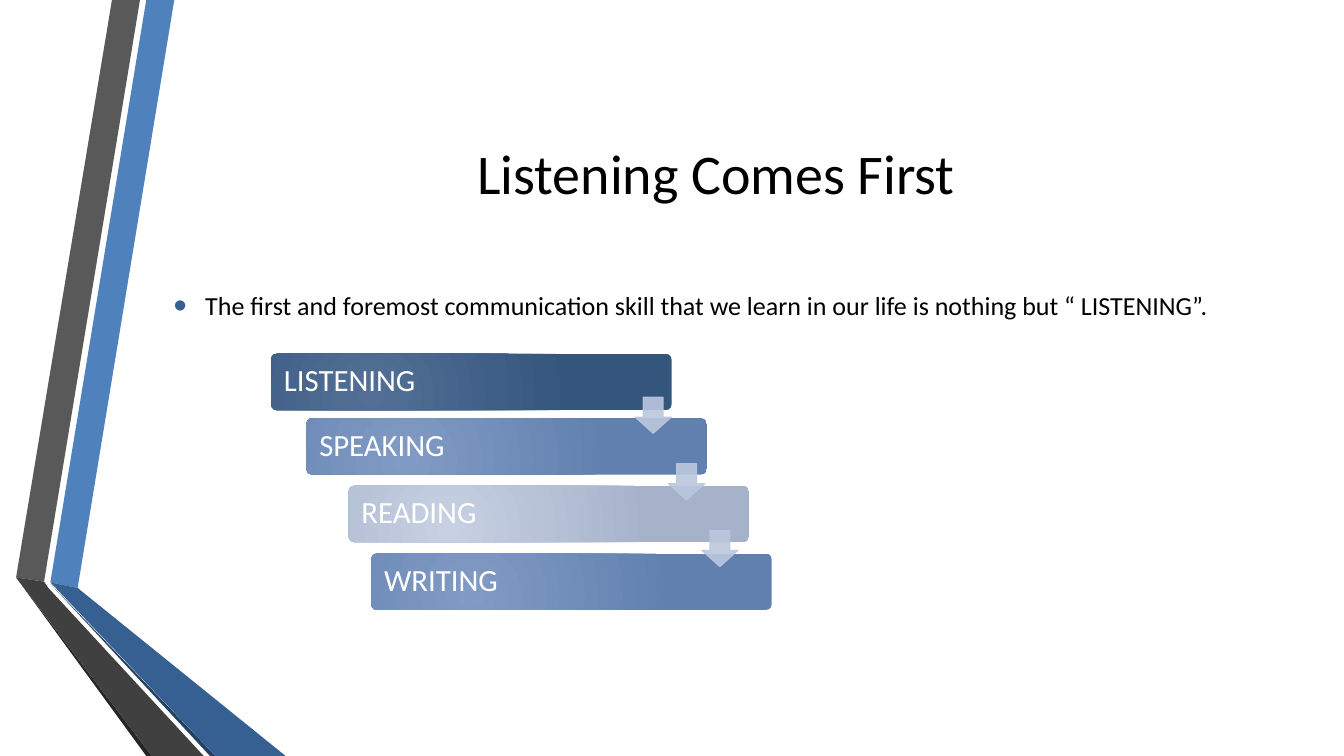
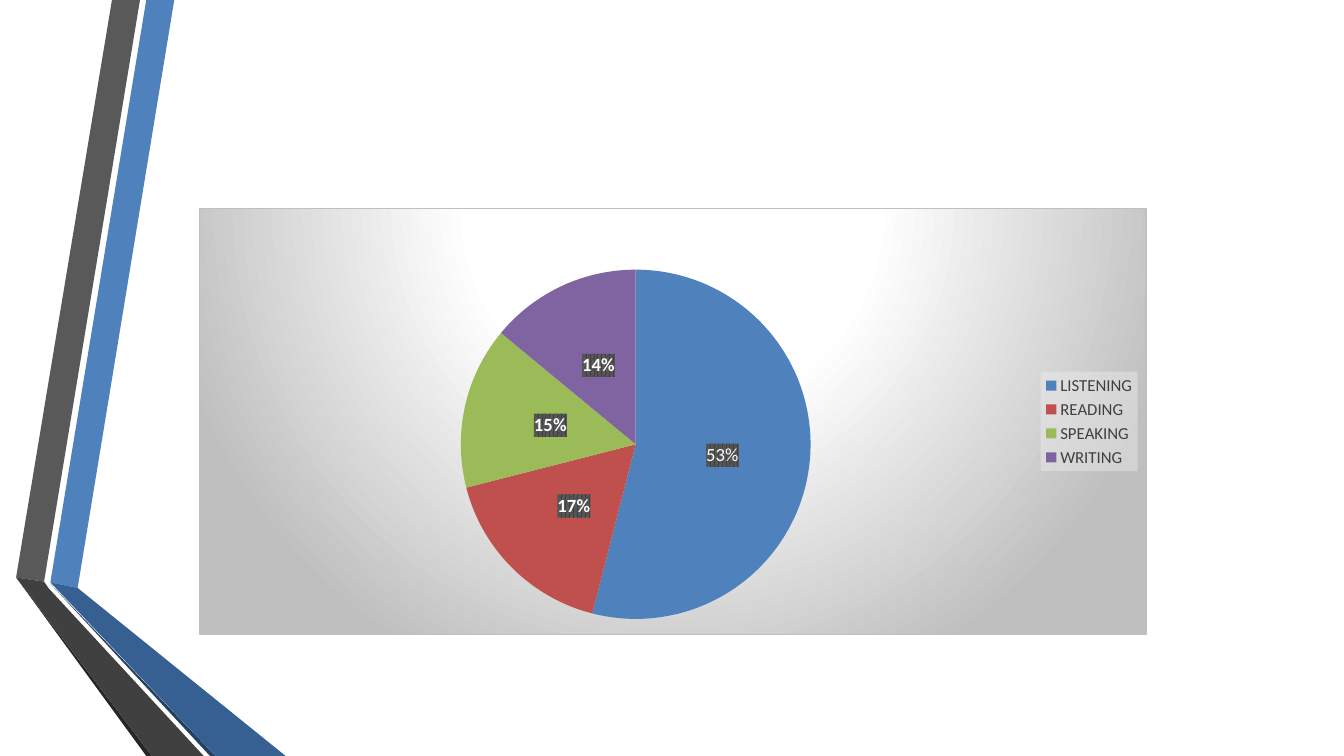
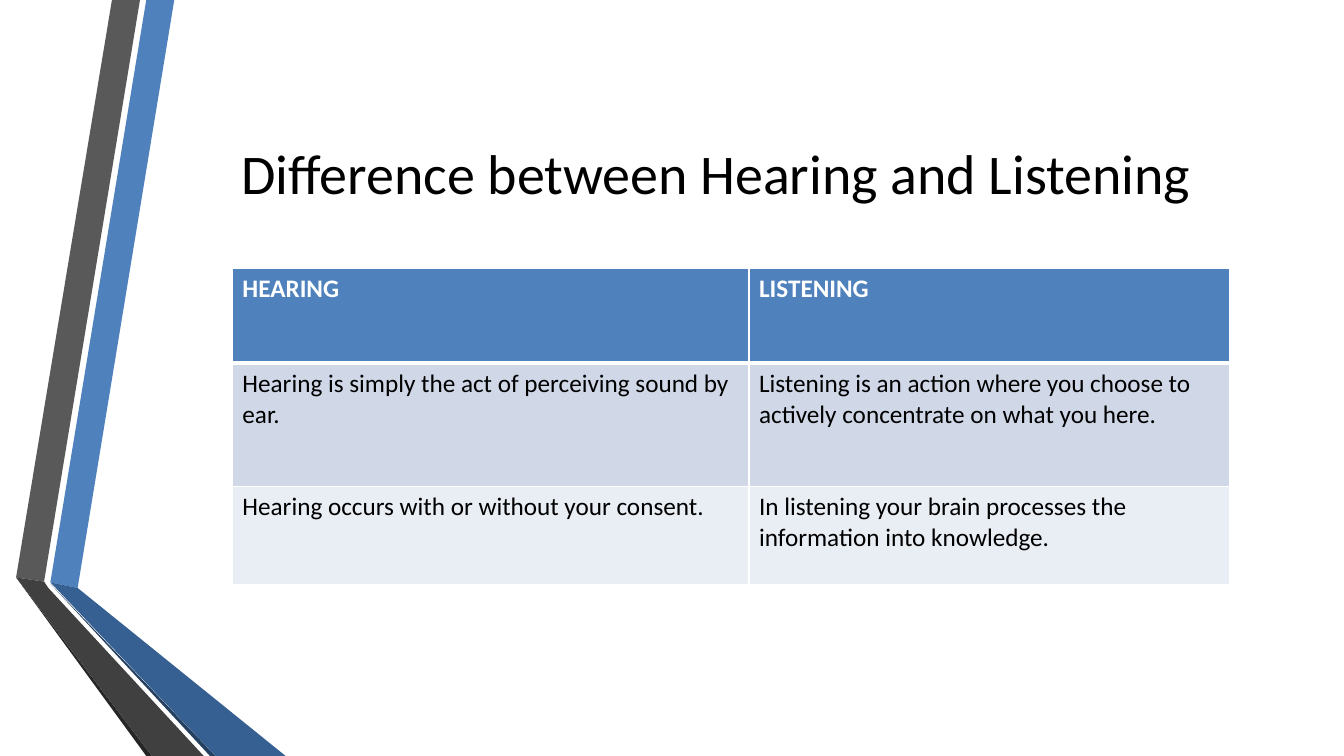
import pptx
import pptx.chart.data
import pptx.dml.color
import pptx.enum.chart
import pptx.enum.shapes
import pptx.enum.text
import pptx.oxml
import pptx.oxml.ns
import pptx.util
from dataclasses import dataclass

Pt = pptx.util.Pt
RGB = pptx.dml.color.RGBColor.from_string
qn = pptx.oxml.ns.qn
SHAPE = pptx.enum.shapes.MSO_SHAPE
ALIGN = pptx.enum.text.PP_ALIGN
MIDDLE = pptx.enum.text.MSO_ANCHOR.MIDDLE


@dataclass(frozen=True)
class Theme:
    font: str = "Calibri"
    black: str = "000000"
    white: str = "FFFFFF"
    blue: str = "4F81BD"
    navy: str = "376092"
    deep: str = "254061"
    gray: str = "595959"
    dark: str = "404040"
    coal: str = "262626"
    silver: str = "BFBFBF"
    pale: str = "F2F2F2"
    arrow: str = "BBC7DE"
    slices: tuple = ("4F81BD", "C0504D", "9BBB59", "8064A2")
    rows: tuple = ("4F81BD", "D0D8E8", "E9EDF4")
    title: float = 40
    card: float = 22
    body: float = 18.6
    cell: float = 18
    label: float = 13.3
    key: float = 12


T = Theme()

RADIAL = (
    '<a:gradFill rotWithShape="1"><a:gsLst>'
    '<a:gs pos="{start}"><a:srgbClr val="{inner}"/></a:gs>'
    '<a:gs pos="100000"><a:srgbClr val="{outer}"/></a:gs></a:gsLst>'
    '<a:path path="circle"><a:fillToRect {rect}/></a:path></a:gradFill>'
)


def node(text):
    """Turn a DrawingML or chart snippet into an element."""
    spaces = pptx.oxml.ns.nsdecls("a", "c")
    return pptx.oxml.parse_xml(f"<root {spaces}>{text}</root>")[0]


def write(par, text, size, color, bold=False):
    run = par.add_run()
    run.text = text
    run.font.name = T.font
    run.font.size = Pt(size)
    run.font.bold = bold
    run.font.color.rgb = RGB(color)


deck = pptx.Presentation()
deck.slide_width, deck.slide_height = Pt(960), Pt(540)

# Shared frame: folded bands on the left and a centred title
BANDS = [
    (T.blue, [(36, 416), (55.5, 420), (124.5, 0), (104.5, 0)]),
    (T.gray, [(100, 0), (80, 0), (11.5, 412.5), (31.5, 415.5)]),
    (T.coal, [(11.5, 412.5), (104.5, 540), (108.5, 540)]),
    (T.deep, [(36, 417), (150, 540), (154, 540)]),
    (T.navy, [(36, 416), (154, 540), (204, 540), (55.5, 420)]),
    (T.dark, [(145.5, 540), (34.5, 420), (31.5, 415.5), (11.5, 412.5),
              (108.5, 540)]),
]
TITLES = ["Listening Comes First", None,
          "Difference between Hearing and Listening"]

slides = []
for title in TITLES:
    slide = deck.slides.add_slide(deck.slide_layouts[6])
    slides.append(slide)
    for color, points in BANDS:
        spots = [(Pt(x), Pt(y)) for x, y in points]
        pen = slide.shapes.build_freeform(*spots[0])
        pen.add_line_segments(spots[1:], close=True)
        band = pen.convert_to_shape()
        band.shadow.inherit = False
        band.fill.solid()
        band.fill.fore_color.rgb = RGB(color)
        band.line.fill.background()
    if title:
        box = slide.shapes.add_textbox(Pt(117), Pt(54), Pt(789), Pt(138))
        frame = box.text_frame
        frame.word_wrap = True
        frame.vertical_anchor = MIDDLE
        frame.paragraphs[0].alignment = ALIGN.CENTER
        write(frame.paragraphs[0], title, T.title, T.black)

first, second, third = slides

# Slide 1: bullet and staircase of skills
box = first.shapes.add_textbox(Pt(117), Pt(200), Pt(789), Pt(36))
frame = box.text_frame
frame.word_wrap = True
frame.vertical_anchor = MIDDLE
par = frame.paragraphs[0]
write(par, "The first and foremost communication skill that we learn in our "
      "life is nothing but “ LISTENING”.", T.body, T.black)
props = par._p.get_or_add_pPr()
props.set("marL", str(Pt(22.5)))
props.set("indent", str(Pt(-22.5)))
for text in (f'<a:buClr><a:srgbClr val="{T.navy}"/></a:buClr>',
             '<a:buSzPct val="145000"/>',
             '<a:buFont typeface="Arial"/>',
             '<a:buChar char="•"/>'):
    props.append(node(text))

CARDS = [
    ("LISTENING", 193.7, 252.7, "536F96", "34557C"),
    ("SPEAKING", 218.9, 298.7, "819BC4", "6180AF"),
    ("READING", 249, 347, "C7D1E3", "A5B2CA"),
    ("WRITING", 265.2, 395.4, "819BC4", "6180AF"),
]
for text, left, top, inner, outer in CARDS:
    card = first.shapes.add_shape(SHAPE.ROUNDED_RECTANGLE, Pt(left), Pt(top),
                                  Pt(286), Pt(40.3))
    card.adjustments[0] = 0.1
    card.shadow.inherit = False
    fill = RADIAL.format(start=0, inner=inner, outer=outer,
                         rect='l="50000" t="100000" r="100000" b="50000"')
    card.element.spPr.find(qn("a:prstGeom")).addnext(node(fill))
    card.line.fill.background()
    frame = card.text_frame
    frame.margin_left = Pt(8)
    frame.vertical_anchor = MIDDLE
    frame.paragraphs[0].alignment = ALIGN.LEFT
    frame.paragraphs[0].line_spacing = 0.9
    write(frame.paragraphs[0], text, T.card, T.white)

for step in range(len(CARDS) - 1):
    arrow = first.shapes.add_shape(
        SHAPE.DOWN_ARROW, Pt(453.6 + 23.8 * step), Pt(283.6 + 47.6 * step),
        Pt(26), Pt(26))
    arrow.adjustments[0] = 0.45
    arrow.adjustments[0], arrow.adjustments[1] = 0.55, 0.45
    arrow.shadow.inherit = False
    arrow.fill.solid()
    arrow.fill.fore_color.rgb = RGB(T.arrow)
    arrow.line.color.rgb = RGB(T.arrow)
    arrow.line.width = Pt(0.75)
    for color in arrow.element.spPr.iter(qn("a:srgbClr")):
        color.append(node('<a:alpha val="90000"/>'))

# Slide 2: pie of skill shares
data = pptx.chart.data.CategoryChartData()
data.categories = ["LISTENING", "READING", "SPEAKING", "WRITING"]
data.add_series("Series 1", (54, 17, 15, 14))
chart = second.shapes.add_chart(
    pptx.enum.chart.XL_CHART_TYPE.PIE, Pt(142), Pt(148.5), Pt(677), Pt(305),
    data).chart
chart.has_title = False
chart.font.name = T.font
chart.font.size = Pt(T.key)
chart.font.color.rgb = RGB(T.dark)

chart.has_legend = True
chart.legend.position = pptx.enum.chart.XL_LEGEND_POSITION.RIGHT
chart.legend.include_in_layout = False
chart.legend.font.name = T.font
chart.legend.font.size = Pt(T.key)
chart.legend.font.color.rgb = RGB(T.dark)

pie = chart.plots[0]
pie.vary_by_categories = True
shares = pie.series[0]
for spot, color in enumerate(T.slices):
    slice_fill = shares.points[spot].format.fill
    slice_fill.solid()
    slice_fill.fore_color.rgb = RGB(color)

CENTER = pptx.enum.chart.XL_LABEL_POSITION.CENTER
labels = shares.data_labels
labels.show_value = False
labels.show_percentage = True
labels.number_format = "0%"
labels.number_format_is_linked = False
labels.position = CENTER
labels.font.name = T.font
labels.font.size = Pt(T.label)
labels.font.bold = True
labels.font.color.rgb = RGB(T.white)
lead = shares.points[0].data_label
write(lead.text_frame.paragraphs[0], "53%", T.label, T.white)
lead.position = CENTER

root = chart.element
hatch = (f'<c:spPr><a:pattFill prst="pct75">'
         f'<a:fgClr><a:srgbClr val="{T.dark}"/></a:fgClr>'
         f'<a:bgClr><a:srgbClr val="{T.gray}"/></a:bgClr>'
         f'</a:pattFill></c:spPr>')
veil = (f'<c:spPr><a:solidFill><a:srgbClr val="{T.pale}">'
        f'<a:alpha val="39000"/></a:srgbClr></a:solidFill></c:spPr>')
glow = RADIAL.format(start=39000, inner=T.white, outer=T.silver,
                     rect='l="50000" t="-80000" r="50000" b="180000"')
panel = (f'<c:spPr>{glow}<a:ln w="9525"><a:solidFill>'
         f'<a:srgbClr val="{T.silver}"/></a:solidFill></a:ln></c:spPr>')
for place, text in ((".//c:dLbls/c:numFmt", hatch),
                    (".//c:dLbl/c:tx", hatch),
                    (".//c:legend/c:overlay", veil),
                    ("./c:chart", panel)):
    root.xpath(place)[0].addnext(node(text))

area = root.xpath(".//c:plotArea")[0]
for old in area.findall(qn("c:layout")):
    area.remove(old)
sides = "".join(f'<c:{side} val="{size}"/>' for side, size in
                (("x", 0.276), ("y", 0.144), ("w", 0.37), ("h", 0.82)))
area.insert(0, node(
    '<c:layout><c:manualLayout><c:layoutTarget val="inner"/>'
    f'<c:xMode val="edge"/><c:yMode val="edge"/>{sides}'
    '</c:manualLayout></c:layout>'))

# Slide 3: comparison table
CELLS = [
    ("HEARING", "LISTENING"),
    ("Hearing is simply the act of perceiving sound by ear.",
     "Listening is an action where you choose to actively concentrate on "
     "what you here."),
    ("Hearing occurs with or without your consent.",
     "In listening your brain processes the information into knowledge."),
]
table = third.shapes.add_table(3, 2, Pt(166), Pt(192), Pt(712),
                               Pt(225.5)).table
table.horz_banding = False
for column, width in zip(table.columns, (369, 343)):
    column.width = Pt(width)
for row, height in zip(table.rows, (67.5, 88, 70)):
    row.height = Pt(height)
for down, texts in enumerate(CELLS):
    head = down == 0
    for across, text in enumerate(texts):
        cell = table.cell(down, across)
        write(cell.text_frame.paragraphs[0], text, T.cell,
              T.white if head else T.black, head)
        cell.fill.solid()
        cell.fill.fore_color.rgb = RGB(T.rows[down])
        edges = {"L": 1, "R": 1, "T": 3 if down == 1 else 1,
                 "B": 3 if head else 1}
        for spot, (side, width) in enumerate(edges.items()):
            cell._tc.get_or_add_tcPr().insert(spot, node(
                f'<a:ln{side} w="{Pt(width)}"><a:solidFill>'
                f'<a:srgbClr val="{T.white}"/></a:solidFill></a:ln{side}>'))

deck.save("out.pptx")
